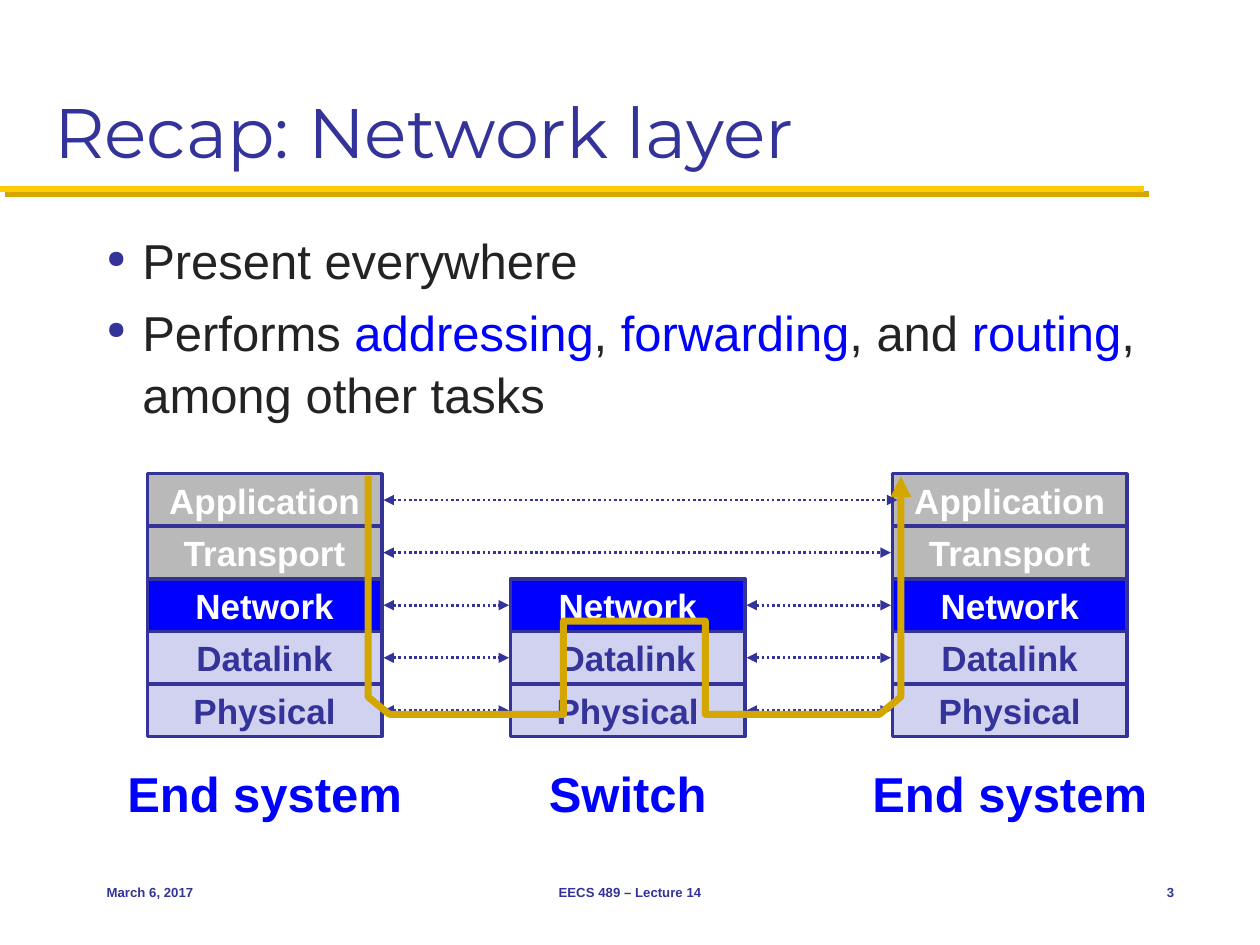
from collections import namedtuple

from lxml import etree
from pptx import Presentation
from pptx.dml.color import RGBColor
from pptx.enum.dml import MSO_LINE
from pptx.enum.shapes import MSO_CONNECTOR, MSO_SHAPE
from pptx.enum.text import MSO_ANCHOR, PP_ALIGN
from pptx.oxml.ns import qn
from pptx.util import Cm, Pt

DOTTED = MSO_LINE.ROUND_DOT
STRAIGHT = MSO_CONNECTOR.STRAIGHT
RECTANGLE = MSO_SHAPE.RECTANGLE
TOP, MIDDLE, BOTTOM = MSO_ANCHOR.TOP, MSO_ANCHOR.MIDDLE, MSO_ANCHOR.BOTTOM
LEFT, CENTER, RIGHT = PP_ALIGN.LEFT, PP_ALIGN.CENTER, PP_ALIGN.RIGHT

COLORS = {
    "navy": "333399", "blue": "0000FF", "ink": "232323", "white": "FFFFFF",
    "grey": "B9B9B9", "lavender": "D1D1F0", "gold": "D3A600", "maize": "FFCB05",
}
LAYERS = [
    ("Application", "grey", "white"),
    ("Transport", "grey", "white"),
    ("Network", "blue", "white"),
    ("Datalink", "lavender", "navy"),
    ("Physical", "lavender", "navy"),
]
ROW_HEIGHT, STACK_WIDTH, LINK_GAP = 1.06, 4.73, 0.03
Box = namedtuple("Box", "left top width height")


def color(name):
    """Return the named colour."""
    return RGBColor.from_string(COLORS[name])


def lengths(box):
    """Return the four measures of a box as lengths."""
    return [Cm(value) for value in box]


def add_span(para, text, size, tint, bold=False, font="Arial"):
    """Append one styled run to a paragraph."""
    span = para.add_run()
    span.text = text
    span.font.name, span.font.size, span.font.bold = font, Pt(size), bold
    span.font.color.rgb = color(tint)


def add_text_box(page, box, anchor=TOP):
    """Add an empty wrapping text box and return its frame."""
    frame = page.shapes.add_textbox(*lengths(box)).text_frame
    frame.word_wrap = True
    frame.vertical_anchor = anchor
    return frame


def add_label(page, box, text, size, tint, align=LEFT, anchor=TOP, **style):
    """Add a text box with a single paragraph."""
    para = add_text_box(page, box, anchor).paragraphs[0]
    para.alignment = align
    add_span(para, text, size, tint, **style)


def add_line(page, start, end, tint, width):
    """Add a straight line and return it with its effect list."""
    line = page.shapes.add_connector(STRAIGHT, *lengths(start + end))
    line.line.color.rgb, line.line.width = color(tint), Pt(width)
    return line, etree.SubElement(line.element.spPr, qn("a:effectLst"))


def add_arrowheads(shape, *ends):
    """Put triangles on the given ends of an outline."""
    outline = shape.element.spPr.find(qn("a:ln"))
    for end in ends:
        etree.SubElement(outline, qn(f"a:{end}"), type="triangle")


def add_title(page, box):
    """Add the title and the shadowed rule below it."""
    add_label(page, box, "Recap: Network layer", 40, "navy",
              anchor=BOTTOM, font="Montserrat")
    rule_top = box.top + box.height + 0.2
    effects = add_line(page, (0, rule_top), (23.06, rule_top), "maize", 3.5)[1]
    shadow = etree.SubElement(effects, qn("a:outerShdw"), blurRad="0",
                              dist=str(Pt(4.2)), dir="2700000", rotWithShape="0")
    etree.SubElement(shadow, qn("a:srgbClr"), val=COLORS["gold"])


def add_bullet(para):
    """Give a paragraph a small round bullet with a hanging indent."""
    props = para._p.get_or_add_pPr()
    props.set("marL", str(Cm(0.72)))
    props.set("indent", str(Cm(-0.72)))
    tint = etree.SubElement(props, qn("a:buClr"))
    etree.SubElement(tint, qn("a:srgbClr"), val=COLORS["navy"])
    etree.SubElement(props, qn("a:buSzPct"), val="50000")
    etree.SubElement(props, qn("a:buChar"), char="●")


def add_points(page, box):
    """Add the bulleted statements with key words in blue."""
    points = [
        [("Present everywhere", "ink")],
        [("Performs ", "ink"), ("addressing", "blue"), (", ", "ink"),
         ("forwarding", "blue"), (", and ", "ink"), ("routing", "blue"),
         (", among other tasks", "ink")],
    ]
    frame = add_text_box(page, box)
    for index, spans in enumerate(points):
        para = frame.add_paragraph() if index else frame.paragraphs[0]
        add_bullet(para)
        para.line_spacing = 1.05
        if index:
            para.space_before = Pt(5.6)
        for text, tint in spans:
            add_span(para, text, 28, tint)


def add_stack(page, box, caption, first_layer=0):
    """Add one column of layers with its caption below."""
    for row, (name, fill, ink) in enumerate(LAYERS[first_layer:], first_layer):
        cell = Box(box.left, box.top + row * ROW_HEIGHT, box.width, ROW_HEIGHT)
        layer = page.shapes.add_shape(RECTANGLE, *lengths(cell))
        layer.shadow.inherit = False
        layer.fill.solid()
        layer.fill.fore_color.rgb = color(fill)
        layer.line.color.rgb, layer.line.width = color("navy"), Pt(2)
        layer.text_frame.vertical_anchor = MIDDLE
        para = layer.text_frame.paragraphs[0]
        para.alignment = CENTER
        add_span(para, name, 20, ink, bold=True)
    label = Box(box.left - 0.7, box.top + box.height + 0.42, box.width + 1.4, 1.45)
    add_label(page, label, caption, 28, "blue", CENTER, bold=True)


def add_link(page, left, right, middle):
    """Add a dotted two-way arrow between peer layers."""
    link = add_line(page, (left, middle), (right, middle), "navy", 1.5)[0]
    link.line.dash_style = DOTTED
    add_arrowheads(link, "headEnd", "tailEnd")


def add_data_path(page, box):
    """Draw the route down, through the switch and up again."""
    half = [(0, 0), (0, 4.45), (0.43, box.height), (3.94, box.height), (3.94, 2.92)]
    points = half + [(box.width - x, y) for x, y in reversed(half)]
    start, *rest = [(Cm(box.left + x), Cm(box.top + y)) for x, y in points]
    builder = page.shapes.build_freeform(*start)
    builder.add_line_segments(rest, close=False)
    route = builder.convert_to_shape()
    route.shadow.inherit = False
    route.fill.background()
    route.line.color.rgb, route.line.width = color("gold"), Pt(4)
    add_arrowheads(route, "tailEnd")


def add_diagram(page, box):
    """Add the three stacks, their links and the data path."""
    height = ROW_HEIGHT * len(LAYERS)
    lefts = [box.left, box.left + 7.32, box.left + box.width - STACK_WIDTH]
    source, switch, target = [
        Box(left, box.top, STACK_WIDTH, height) for left in lefts]
    add_stack(page, source, "End system")
    add_stack(page, switch, "Switch", first_layer=2)
    add_stack(page, target, "End system")
    for row in range(len(LAYERS)):
        pairs = ([(source, target)] if row < 2
                 else [(source, switch), (switch, target)])
        for near, far in pairs:
            add_link(page, near.left + near.width + LINK_GAP,
                     far.left + (0.1 if row == 0 else -LINK_GAP),
                     box.top + (row + 0.5) * ROW_HEIGHT)
    add_data_path(page, Box(box.left + 4.45, box.top + 0.05, 10.74, 4.8))


def add_footer(page, box):
    """Add the date, the lecture name and the page number."""
    parts = [
        (0, 5.28, "March 6, 2017", LEFT),
        (6.78, 8.04, "EECS 489 – Lecture 14", CENTER),
        (box.width - 1.7, 1.7, "3", RIGHT),
    ]
    for offset, width, text, align in parts:
        place = Box(box.left + offset, box.top, width, box.height)
        add_label(page, place, text, 7.5, "navy", align, MIDDLE, bold=True)


def main():
    """Build the slide and save the deck."""
    deck = Presentation()
    deck.slide_width, deck.slide_height = Cm(25.4), Cm(19.05)
    page = deck.slides.add_slide(deck.slide_layouts[6])
    add_title(page, Box(0.84, 0.43, 23.7, 3.18))
    add_points(page, Box(1.9, 4.47, 22.02, 12.27))
    add_diagram(page, Box(2.97, 9.55, 19.75, 7))
    add_footer(page, Box(1.9, 17.35, 22.02, 1.27))
    deck.save("out.pptx")


if __name__ == "__main__":
    main()
